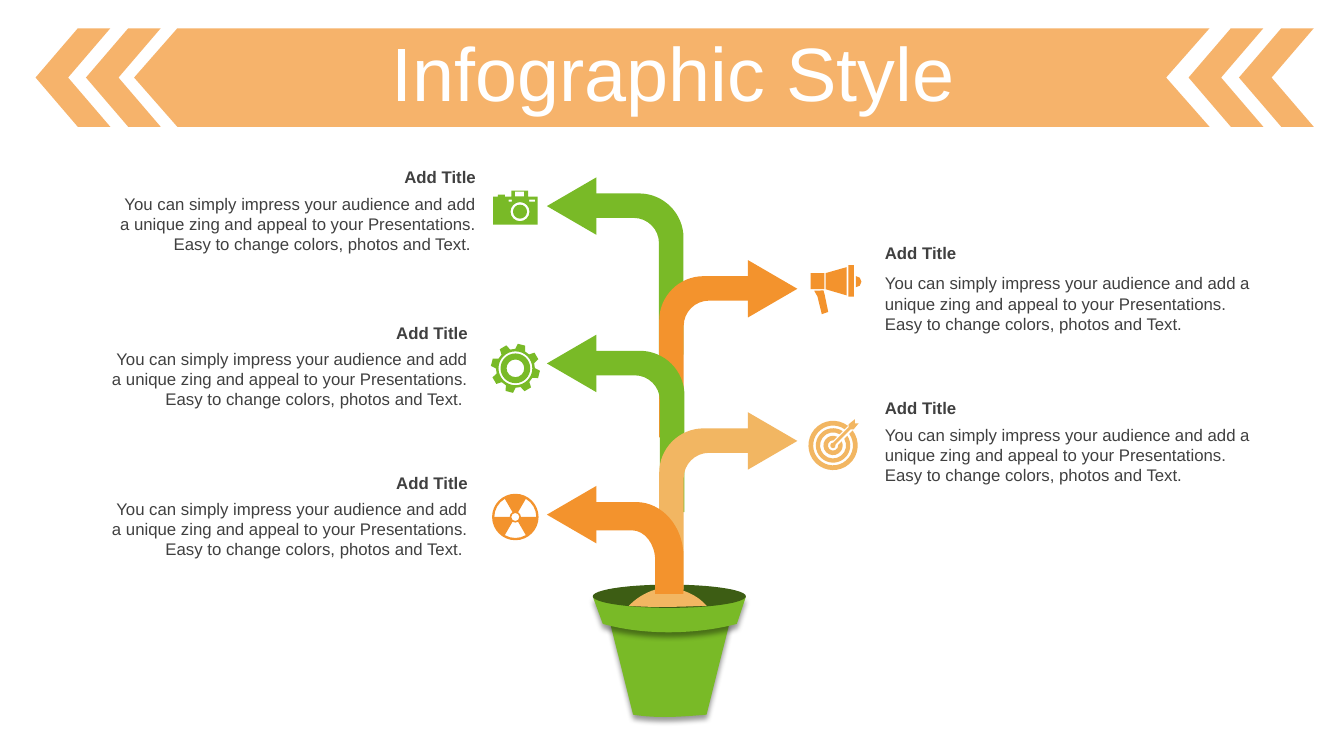
import math

import pptx
import pptx.dml.color
import pptx.enum.shapes
import pptx.enum.text
import pptx.oxml.ns
import pptx.util
from lxml import etree

Pt = pptx.util.Pt
qn = pptx.oxml.ns.qn
RGBColor = pptx.dml.color.RGBColor
MSO_SHAPE = pptx.enum.shapes.MSO_SHAPE
PP_ALIGN = pptx.enum.text.PP_ALIGN
MSO_ANCHOR = pptx.enum.text.MSO_ANCHOR

GREEN = RGBColor(0x79, 0xBA, 0x27)
DARK_GREEN = RGBColor(0x3D, 0x5D, 0x14)
ORANGE = RGBColor(0xF3, 0x93, 0x2D)
SAND = RGBColor(0xF2, 0xB6, 0x62)
GREY = RGBColor(0x40, 0x40, 0x40)
WHITE = RGBColor(0xFF, 0xFF, 0xFF)

BODY = ("You can simply impress your audience and add a unique zing and appeal "
        "to your Presentations. Easy to change colors, photos and Text.")


def polar(center, r, degrees):
    a = math.radians(degrees)
    return center[0] + r * math.cos(a), center[1] + r * math.sin(a)


def arc(center, r, start=0, end=360):
    """A start point and Bezier curves, angles in degrees clockwise from the right."""
    count = math.ceil(abs(end - start) / 90)
    step = (end - start) / count
    k = 4 / 3 * math.tan(math.radians(step) / 4)
    nodes = [polar(center, r, start)]
    for i in range(count):
        a = start + step * i
        (x0, y0), (x1, y1) = polar(center, r, a), polar(center, r, a + step)
        nodes.append((x0 - k * (y0 - center[1]), y0 + k * (x0 - center[0]),
                      x1 + k * (y1 - center[1]), y1 - k * (x1 - center[0]), x1, y1))
    return nodes


def box(x, y, w, h):
    return [(x, y), (x + w, y), (x + w, y + h), (x, y + h)]


def split_ring(center, outer, inner, half_gap=2.3, gap_at=-45):
    """A ring cut open by a slot of even width."""
    a, b = (math.degrees(math.asin(half_gap / r)) for r in (outer, inner))
    return (arc(center, outer, gap_at + a, gap_at + 360 - a)
            + arc(center, inner, gap_at + 360 - b, gap_at + b))


class Canvas:
    font = "Arial"

    def __init__(self, slide):
        self.shapes = slide.shapes

    def paint(self, sp, color, alpha=None, shadow=False):
        sp.shadow.inherit = False
        sp.fill.solid()
        sp.fill.fore_color.rgb = color
        sp.line.fill.background()
        spPr = sp._element.spPr
        if alpha:
            clr = spPr.find(qn("a:solidFill")).find(qn("a:srgbClr"))
            etree.SubElement(clr, qn("a:alpha"), val=str(alpha * 1000))
        if shadow:
            outer = etree.SubElement(
                spPr.find(qn("a:effectLst")), qn("a:outerShdw"), blurRad=str(Pt(4)),
                dist=str(Pt(3)), dir="5400000", algn="t", rotWithShape="0")
            clr = etree.SubElement(outer, qn("a:srgbClr"), val="000000")
            etree.SubElement(clr, qn("a:alpha"), val="40000")

    def preset(self, kind, x, y, w, h, color, rotation=0, adj=None, alpha=None):
        sp = self.shapes.add_shape(kind, Pt(x), Pt(y), Pt(w), Pt(h))
        sp.rotation = rotation
        if adj is not None:
            sp.adjustments[0] = adj
        self.paint(sp, color, alpha)

    def free(self, outlines, color, **style):
        """One shape from outlines of (x, y) corners and (x1, y1, x2, y2, x, y) curves.

        An outline inside another cuts a hole.
        """
        builder = None
        for first, *nodes in outlines:
            start = [Pt(v) for v in first]
            if builder is None:
                builder = self.shapes.build_freeform(*start)
            else:
                builder.move_to(*start)
            builder.add_line_segments([(Pt(n[i]), Pt(n[i + 1])) for n in nodes
                                       for i in range(0, len(n), 2)], close=True)
        sp = builder.convert_to_shape()
        segments = iter(list(sp._element.iter(qn("a:lnTo"))))
        for node in (n for outline in outlines for n in outline[1:]):
            segment = next(segments)
            if len(node) == 6:
                segment.tag = qn("a:cubicBezTo")
                for extra in (next(segments), next(segments)):
                    segment.append(extra[0])
                    extra.getparent().remove(extra)
        self.paint(sp, color, **style)

    def text(self, x, y, w, h, text, size=12, color=GREY, bold=False,
             align=PP_ALIGN.LEFT, anchor=MSO_ANCHOR.TOP, spacing=None):
        tf = self.shapes.add_textbox(Pt(x), Pt(y), Pt(w), Pt(h)).text_frame
        tf.word_wrap = True
        tf.vertical_anchor = anchor
        p = tf.paragraphs[0]
        p.alignment = align
        if spacing:
            p.line_spacing = spacing
        r = p.add_run()
        r.text = text
        r.font.name, r.font.size, r.font.bold = self.font, Pt(size), bold
        r.font.color.rgb = color

    def branch(self, tail, edge, top, color, length=115.2, thick=17.5,
               outer=(31.7, 31.7), inner=(18, 18)):
        """A bent stem from the trunk's outer edge to an arrowhead."""
        d = 1 if tail > edge else -1
        bottom, inside, under = top + length, edge + d * thick, top + thick
        (ox, oy), (ix, iy) = outer, inner
        k = 0.45
        self.free([[
            (tail, top), (edge + d * ox, top),
            (edge + d * ox * k, top, edge, top + oy * k, edge, top + oy),
            (edge, bottom), (inside, bottom), (inside, under + iy),
            (inside, under + iy * k, inside + d * ix * k, under, inside + d * ix, under),
            (tail, under)]], color)
        w, h = 41, 35.3
        cx = 551.9 if d > 0 else 408.3
        self.preset(MSO_SHAPE.ISOSCELES_TRIANGLE, cx - w / 2, top + 9 - h / 2, w, h,
                    color, rotation=90 * d)


def add_banner(c):
    y, h = 20.2, 70.4
    for x in (25.4, 61.4, 849, 885):
        c.preset(MSO_SHAPE.CHEVRON, x, y, 53.4, h, ORANGE, rotation=180, adj=0.565, alpha=70)
    c.free([[(126.7, y), (864, y), (833, y + h / 2), (864, y + h), (126.7, y + h),
             (95.8, y + h / 2)]], ORANGE, alpha=70)
    c.text(25.2, 26.6, 911.5, 56.9, "Infographic Style", 54, WHITE,
           align=PP_ALIGN.CENTER, anchor=MSO_ANCHOR.MIDDLE, spacing=0.9)


def add_pot(c):
    c.free([[(521.3, 444.2), (504.7, 510.5), (487.4, 511.9, 470.2, 513.4, 452.2, 510.5),
             (435.6, 444.2)]], GREEN, shadow=True)
    c.free([[(532.8, 426.2), (526.3, 445.7), (501.8, 452.2, 464.4, 455, 430.6, 445.7),
             (423.4, 426.2)]], GREEN, shadow=True)
    c.preset(MSO_SHAPE.OVAL, 423.4, 417.6, 109.4, 16.6, DARK_GREEN)
    c.free([[(449.3, 432.7), (455.8, 425.5, 467.3, 419.8, 476.6, 419.8),
             (486.7, 419.8, 499, 425.5, 504.7, 432.7),
             (486.7, 433.4, 468, 434.2, 449.3, 432.7)]], SAND)


def add_icons(c):
    lens = (371.5, 151.2)
    camera = box(352.3, 140.4, 31.7, 20)
    camera[:1] = [(352.3, 140.4), (355.7, 140.4), (355.7, 139), (360.7, 139), (360.7, 140.4),
                  (365.4, 140.4), (365.4, 136.1), (377.3, 136.1), (377.3, 140.4)]
    c.free([camera, arc(lens, 6.8), arc(lens, 5), box(363.4, 142.6, 2.2, 1.5),
            box(378, 142.6, 4.3, 1.5), box(367.9, 136.9, 6.5, 3.4)], GREEN)

    handle = [(588.2, 207.4), (589, 210.2), (591.6, 222.8), (587, 224.4), (583.9, 211.7),
              (581.6, 207.7)]
    knob = arc((611.3, 201.2), 4, -90, 90)
    cone = [(604.8, 190.8), (604.8, 211), (589.7, 206.6), (589.7, 195.1)]
    c.free([handle, knob, box(579, 195.1, 9.8, 11.5), cone, box(605.9, 189.4, 4.1, 22.4)],
           ORANGE)

    bull = (595.1, 318.2)
    dart = [(610.6, 299.5), (610.6, 302.4), (613.4, 302.4), (609.8, 306.7), (607.7, 306.7),
            (596.9, 317.5), (597.2, 319.2, 596.2, 320.2, 595.1, 320.2),
            (592.4, 320.2, 592.4, 316.1, 595.4, 316.1), (606.2, 305.3), (606.2, 303.1)]
    rings = [split_ring(bull, r, s) for r, s in ((17.6, 14.2), (12.3, 9.3), (6.9, 3.7))]
    c.free(rings + [dart], SAND)

    core = (368.1, 369.3)
    blades = [arc(core, 15, a, a + 60) + arc(core, 4, a + 60, a) for a in (60, 180, 300)]
    c.free([arc(core, 16.6)] + blades + [arc(core, 2.9)], ORANGE)

    hub = (368.2, 263.1)
    teeth = [polar(hub, r, 14.5 + 45 * i + turn) for i in range(8)
             for r, turn in ((13.9, -15), (17.6, -8.8), (17.6, 8.8), (13.9, 15))]
    c.free([teeth] + [arc(hub, r) for r in (12.1, 10.6, 6.3)], GREEN)


def main():
    prs = pptx.Presentation()
    prs.slide_width, prs.slide_height = Pt(960), Pt(540)
    c = Canvas(prs.slides.add_slide(prs.slide_layouts[6]))
    add_banner(c)
    add_pot(c)

    c.branch(421.9, 488.2, 138.2, GREEN)
    c.branch(537.8, 470.9, 197.3, ORANGE)
    c.branch(422.6, 488.9, 250.6, GREEN)
    c.branch(537.8, 470.9, 306, SAND)
    c.branch(410.4, 488.2, 358.6, ORANGE, length=65.5, thick=20.2, outer=(33.8, 38.9),
             inner=(16.7, 21.6))

    for x, title_y, body_y in ((625, 169.9, 191.5), (625, 280.8, 299.5), (72, 115.9, 134.6),
                               (66.2, 226.8, 245.5), (66.2, 334.1, 352.8)):
        right_side = x > 480
        w = 277.9 if right_side else 275
        align = PP_ALIGN.LEFT if right_side else PP_ALIGN.RIGHT
        c.text(x, body_y, w, 51.1, BODY if right_side else BODY + " ", align=align)
        c.text(x, title_y, w, 21.6, "Add Title", bold=True, align=align)
    add_icons(c)
    prs.save("out.pptx")


if __name__ == "__main__":
    main()
